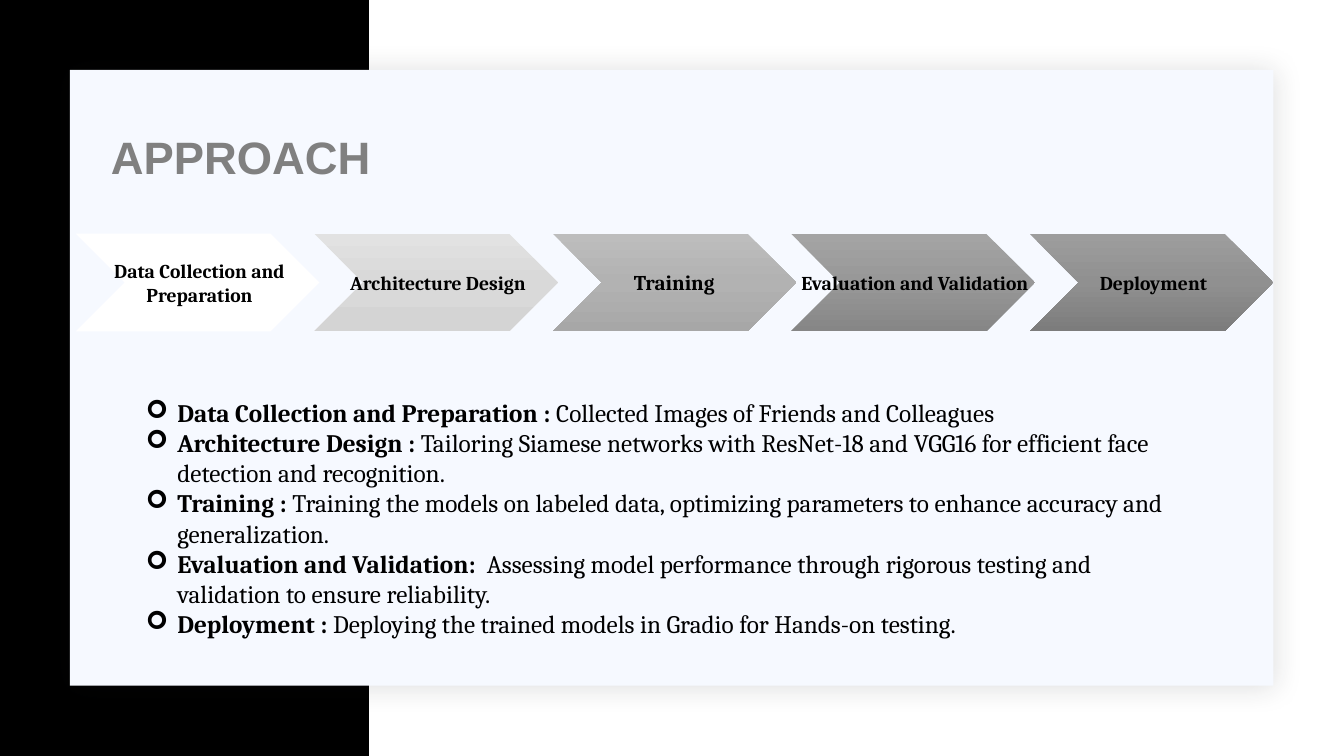
from copy import deepcopy
from dataclasses import dataclass

from lxml import etree
from pptx import Presentation
from pptx.dml.color import RGBColor
from pptx.enum.shapes import MSO_SHAPE
from pptx.enum.text import MSO_ANCHOR, MSO_AUTO_SIZE, PP_ALIGN
from pptx.oxml import parse_xml
from pptx.oxml.ns import nsdecls, qn
from pptx.util import Cm, Pt

RECT, CHEVRON = MSO_SHAPE.RECTANGLE, MSO_SHAPE.CHEVRON
MIDDLE, CENTER, LEFT = MSO_ANCHOR.MIDDLE, PP_ALIGN.CENTER, PP_ALIGN.LEFT
GROW = MSO_AUTO_SIZE.SHAPE_TO_FIT_TEXT

BLACK = RGBColor(0x00, 0x00, 0x00)
WHITE = RGBColor(0xFF, 0xFF, 0xFF)
PANEL = RGBColor(0xF6, 0xF9, 0xFF)
TITLE_GRAY = RGBColor(0x80, 0x80, 0x80)
LIGHT = (RGBColor(0xE2, 0xE2, 0xE2), RGBColor(0xD9, 0xD9, 0xD9), RGBColor(0xD4, 0xD4, 0xD4))
SILVER = (RGBColor(0xBD, 0xBD, 0xBD), RGBColor(0xB2, 0xB2, 0xB2), RGBColor(0xA7, 0xA7, 0xA7))
MEDIUM = (RGBColor(0xA4, 0xA4, 0xA4), RGBColor(0x98, 0x98, 0x98), RGBColor(0x86, 0x86, 0x86))
DARK = (RGBColor(0x9D, 0x9D, 0x9D), RGBColor(0x90, 0x90, 0x90), RGBColor(0x7C, 0x7C, 0x7C))

BODY_FONT, TITLE_FONT = "Cambria", "Arial"
STEP_LEFT, STEP_TOP, STEP_PITCH = 1.91, 5.89, 6.01
STEP_WIDTH, STEP_HEIGHT = 6.14, 2.46
BULLET_INDENT = Cm(0.79)


@dataclass(frozen=True)
class Step:
    label: str
    colors: tuple[RGBColor, ...]
    heading: str
    detail: str
    size: int = 14


STEPS = [
    Step("Data Collection and Preparation", (WHITE,), "Data Collection and Preparation : ",
         "Collected Images of Friends and Colleagues"),
    Step("Architecture Design", LIGHT, "Architecture Design : ",
         "Tailoring Siamese networks with ResNet-18 and VGG16 for efficient face "
         "detection and recognition."),
    Step("Training ", SILVER, "Training : ",
         "Training the models on labeled data, optimizing parameters to enhance "
         "accuracy and generalization.", 15),
    Step("Evaluation and Validation", MEDIUM, "Evaluation and Validation:  ",
         "Assessing model performance through rigorous testing and validation to "
         "ensure reliability."),
    Step("Deployment", DARK, "Deployment : ",
         "Deploying the trained models in Gradio for Hands-on testing."),
]


def add_filled(shapes, kind, box, colors: tuple[RGBColor, ...]):
    """Add a borderless shape with a solid or vertical three-stop gradient fill."""
    sp = shapes.add_shape(kind, *map(Cm, box))
    sp.shadow.inherit = False
    sp.line.fill.background()
    if len(colors) == 1:
        sp.fill.solid()
        sp.fill.fore_color.rgb = colors[0]
        return sp
    sp.fill.gradient()
    sp.fill.gradient_angle = 270
    stop_list = sp.element.spPr.find(".//" + qn("a:gsLst"))
    stop_list.insert(1, deepcopy(stop_list[0]))
    for stop, position, color in zip(sp.fill.gradient_stops, (0, 0.5, 1), colors):
        stop.position = position
        stop.color.rgb = color
    return sp


def add_soft_shadow(sp) -> None:
    effects = sp.element.spPr.find(qn("a:effectLst"))
    effects.append(parse_xml(
        f'<a:outerShdw {nsdecls("a")} blurRad="{Pt(20)}" dist="{Pt(2)}" dir="2700000" '
        'algn="tl" rotWithShape="0"><a:srgbClr val="1F2125"><a:alpha val="15000"/>'
        '</a:srgbClr></a:outerShdw>'))


def add_run(p, text: str, size: float, bold: bool, font: str = BODY_FONT,
            color: RGBColor = BLACK) -> None:
    r = p.add_run()
    r.text = text
    r.font.name, r.font.size, r.font.bold = font, Pt(size), bold
    r.font.color.rgb = color


def add_step(shapes, step: Step, index: int) -> None:
    box = (STEP_LEFT + index * STEP_PITCH, STEP_TOP, STEP_WIDTH, STEP_HEIGHT)
    add_filled(shapes, CHEVRON, box, step.colors)
    # The label spans the full chevron width, beyond its inner text area
    tf = shapes.add_textbox(*map(Cm, box)).text_frame
    tf.word_wrap = True
    tf.vertical_anchor = MIDDLE
    tf.margin_left = Cm(0.15)
    tf.margin_top = tf.margin_right = tf.margin_bottom = Cm(0.05)
    p = tf.paragraphs[0]
    p.alignment = CENTER
    add_run(p, step.label, step.size, True)


def add_bullet(p, step: Step) -> None:
    pPr = p._p.get_or_add_pPr()
    pPr.set("marL", str(BULLET_INDENT))
    pPr.set("indent", str(-BULLET_INDENT))
    etree.SubElement(pPr, qn("a:buFont"), typeface="Wingdings")
    etree.SubElement(pPr, qn("a:buChar"), char="➢")
    add_run(p, step.heading, 18, True)
    add_run(p, step.detail, 18, False)


def main() -> None:
    prs = Presentation()
    prs.slide_width, prs.slide_height = Cm(33.87), Cm(19.05)
    slide = prs.slides.add_slide(prs.slide_layouts[5])
    shapes = slide.shapes

    # Backdrop: black band and raised panel
    add_filled(shapes, RECT, (0, 0, 9.3, 19.05), (BLACK,))
    panel = add_filled(shapes, RECT, (1.76, 1.76, 30.33, 15.52), (PANEL,))
    add_soft_shadow(panel)

    # Process chevrons
    for index, step in enumerate(STEPS):
        add_step(shapes, step, index)

    # Title, brought in front of the panel
    title = shapes.title
    title.left, title.top, title.width, title.height = map(Cm, (2.54, 3.12, 30.48, 1.63))
    title.element.getparent().append(title.element)
    tf = title.text_frame
    tf.vertical_anchor = MIDDLE
    p = tf.paragraphs[0]
    p.alignment = LEFT
    add_run(p, "APPROACH", 32.4, True, TITLE_FONT, TITLE_GRAY)

    # Step descriptions
    tf = shapes.add_textbox(*map(Cm, (3.43, 9.88, 26.21, 7.19))).text_frame
    tf.word_wrap = True
    tf.auto_size = GROW
    for index, step in enumerate(STEPS):
        add_bullet(tf.add_paragraph() if index else tf.paragraphs[0], step)

    prs.save("out.pptx")


if __name__ == "__main__":
    main()
